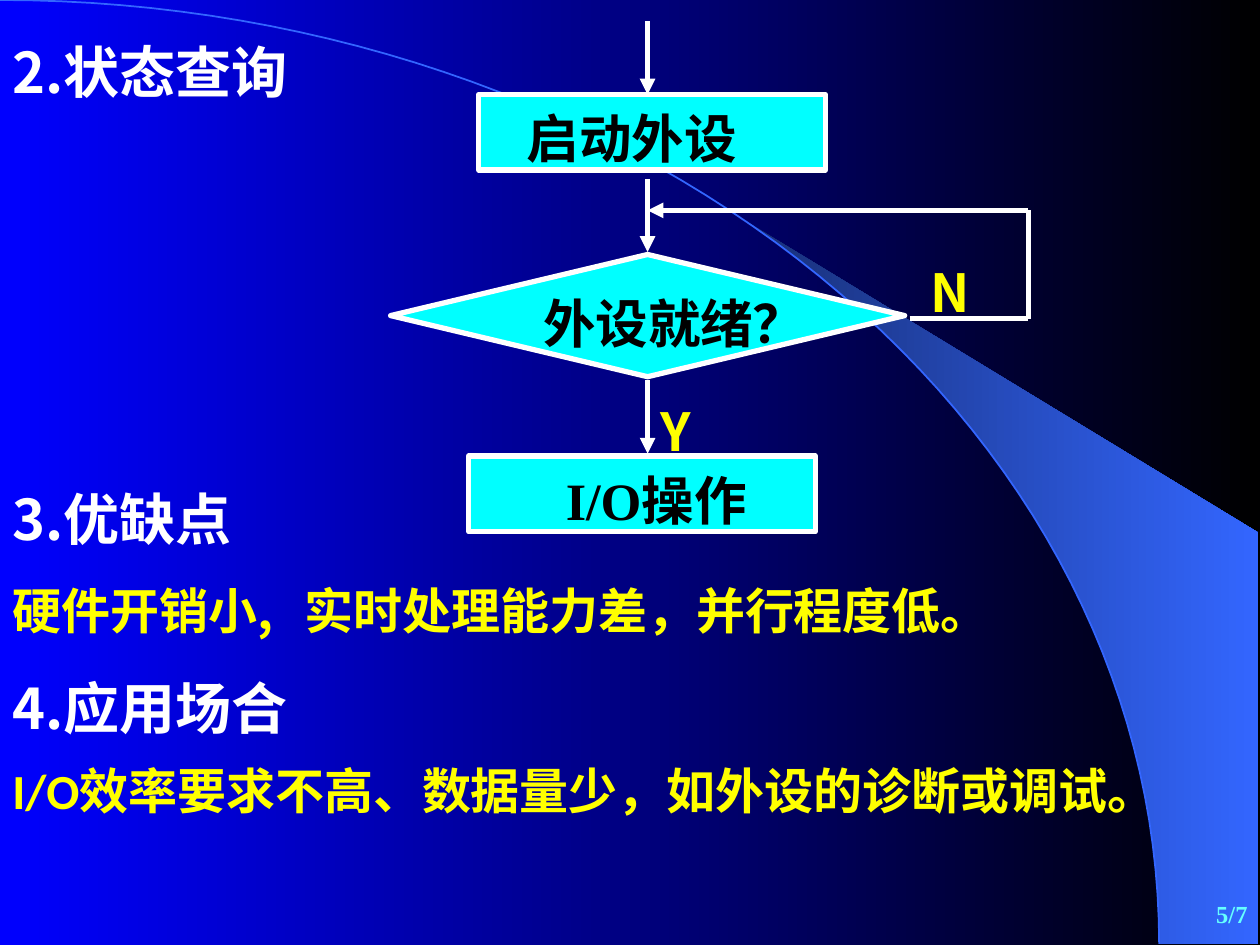
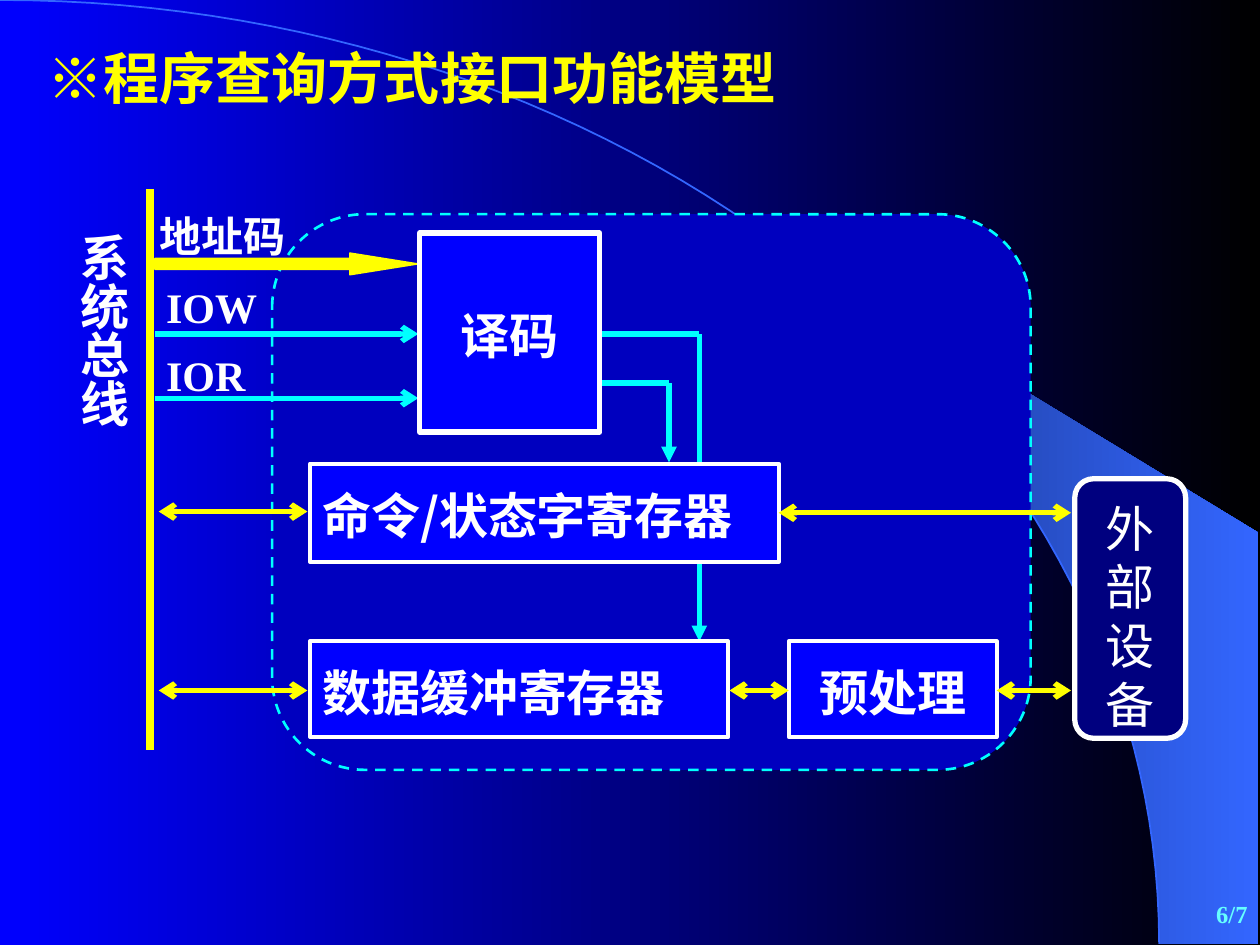
from math import asin, cos, pi, sin

from lxml.etree import SubElement as Sub
from pptx import Presentation
from pptx.dml.color import RGBColor as Rgb
from pptx.enum.dml import MSO_LINE as Dash
from pptx.enum.shapes import MSO_CONNECTOR as Conn, MSO_SHAPE as Kind
from pptx.enum.text import MSO_ANCHOR as Anchor, MSO_AUTO_SIZE as Fit, PP_ALIGN as Align
from pptx.oxml.ns import qn
from pptx.util import Inches, Pt

WIDE, HIGH = Inches(10), Inches(7.5)
COLS, ROWS = 100, 75
HUES = {
    "blue": "0000FF", "black": "000000", "dusk": "182F76", "sky": "3366FF",
    "white": "FFFFFF", "cyan": "00FFFF", "yellow": "FFFF00", "panel": "0000BF",
    "navy": "00007F", "page": "66FFFF",
}
NOTO, TIMES, CALIBRI = "Noto Sans CJK SC", "Times New Roman", "Calibri"
ARC_X, ARC_Y = 92, 74.9
SIDE, TOP = 1, 0.5


def hue(name):
    return Rgb.from_string(HUES[name])


def col(n):
    return round(WIDE * n / COLS)


def row(n):
    return round(HIGH * n / ROWS)


def area(x, y, w, h):
    return col(x), row(y), col(w), row(h)


def put(item, **vals):
    for key, val in vals.items():
        setattr(item, key, val)


def blend(fill, first, last):
    fill.gradient()
    fill.gradient_angle = 0
    for stop, name in zip(fill.gradient_stops, (first, last)):
        stop.color.rgb = hue(name)


def edge(line, name, width):
    line.color.rgb = hue(name)
    line.width = Pt(width)


def write(shape, text, size=28, ink="white", font=TIMES, bold=True, align=Align.LEFT,
          anchor=Anchor.TOP, wrap=True, lead=1.3, left=SIDE, top=TOP):
    frame = shape.text_frame
    frame.text = text
    put(frame, auto_size=Fit.NONE, word_wrap=wrap, vertical_anchor=anchor,
        margin_left=col(left), margin_right=col(SIDE),
        margin_top=row(top), margin_bottom=row(TOP))
    for para in frame.paragraphs:
        put(para, alignment=align, line_spacing=Pt(round(size * lead, 1)),
            space_before=Pt(0))
        for run in para.runs:
            put(run.font, size=Pt(size), bold=bold, name=font)
            run.font.color.rgb = hue(ink)
    for props in shape.element.iter(qn("a:rPr")):
        Sub(props, qn("a:ea")).set("typeface", NOTO)


def head(slide, text, spot, ink):
    title = slide.shapes.title
    put(title, **dict(zip(("left", "top", "width", "height"), area(*spot))))
    write(title, text, 32, ink, NOTO)


def label(slide, text, spot, **look):
    box = slide.shapes.add_textbox(*area(*spot))
    write(box, text, **look)
    return box


def block(slide, spot, fill, line, width, kind=Kind.RECTANGLE, adjust=(), text="", **look):
    shape = slide.shapes.add_shape(kind, *area(*spot))
    shape.shadow.inherit = False
    for n, val in enumerate(adjust):
        shape.adjustments[n] = val
    shape.fill.solid()
    shape.fill.fore_color.rgb = hue(fill)
    edge(shape.line, line, width)
    if text:
        write(shape, text, **look)
    return shape


def route(slide, stops, ink, tail=None, start=None, width=3):
    last = len(stops) - 2
    for n, (a, b) in enumerate(zip(stops, stops[1:])):
        link = slide.shapes.add_connector(
            Conn.STRAIGHT, col(a[0]), row(a[1]), col(b[0]), row(b[1]))
        edge(link.line, ink, width)
        props = link.element.spPr
        Sub(props, qn("a:effectLst"))
        ends = (("a:headEnd", start, n == 0), ("a:tailEnd", tail, n == last))
        for tag, form, here in ends:
            if form and here:
                Sub(props.find(qn("a:ln")), qn(tag)).set("type", form)


def arc(first, steps=60):
    turns = [first + (pi / 2 - first) * n / steps for n in range(steps + 1)]
    return [(col(ARC_X * sin(t)), row(ARC_Y * (1 - cos(t)))) for t in turns]


def outline(slide, spots, close):
    pen = slide.shapes.build_freeform(*spots[0])
    pen.add_line_segments(spots[1:], close=close)
    shape = pen.convert_to_shape()
    shape.shadow.inherit = False
    return shape


def dress(deck, slide):
    master = deck.slide_master
    blend(master.background.fill, "blue", "black")
    ends = [(col(99.9), row(ARC_Y)), (col(99.9), row(42.3))]
    beam = outline(slide, arc(asin(58.9 / ARC_X)) + ends, True)
    blend(beam.fill, "dusk", "sky")
    beam.line.fill.background()
    curve = outline(slide, arc(0), False)
    curve.fill.background()
    edge(curve.line, "sky", 1)
    for n, shape in enumerate((beam, curve)):
        shape.element.nvSpPr.cNvPr.set("id", str(n + 20))
        master.shapes.element.insert(n + 2, shape.element)


def page(slide, text):
    label(slide, text, (79.2, 70, 20.8, 5), size=14, ink="page",
          align=Align.RIGHT, anchor=Anchor.MIDDLE, lead=1.2)


def query(slide):
    mid = 51.4
    head(slide, "2.状态查询", (0, 2, 46.7, 6.4), "white")
    for top, end in ((1.7, 7.5), (14.2, 20), (30.2, 36)):
        route(slide, [(mid, top), (mid, end)], "white", "triangle")
    for text, x, y, left in (("启动外设", 38, 7.5, 3.8), ("I/O操作", 37.2, 36.2, 7.7)):
        block(slide, (x, y, 27.5, 6), "cyan", "white", 3, text=text,
              size=30, ink="black", left=left)
    block(slide, (31, 20.2, 40.8, 9.7), "cyan", "white", 3, Kind.FLOWCHART_DECISION)
    label(slide, "外设就绪？", (35.2, 22.2, 35, 6), size=30, ink="black", left=7.9)
    route(slide, [(72.2, 25.3), (81.6, 25.3), (81.6, 16.7), (mid, 16.7)],
          "white", "triangle")
    for text, x, y in (("N", 72.9, 19.7), ("Y", mid, 30.8)):
        label(slide, text, (x, y, 7.5, 6), size=30, ink="yellow", font=NOTO)
    for text, y in (("3.优缺点", 37.5), ("4.应用场合", 52.5)):
        label(slide, text, (0, y, 46.7, 6.4), size=32, font=NOTO)
    for text, x, y, w, font in (
        ("硬件开销小,", 0, 45.2, 30.4, NOTO),
        ("实时处理能力差，并行程度低。", 23.2, 45.2, 64.3, NOTO),
        ("I/O效率要求不高、数据量少，如外设的诊断或调试。", 0, 59.5, 96.5, CALIBRI),
    ):
        label(slide, text, (x, y, w, 5.7), ink="yellow", font=font)
    page(slide, "5/7")


def model(slide):
    bus = 12.3
    head(slide, "※程序查询方式接口功能模型", (2.8, 2.5, 70, 6.4), "yellow")
    zone = block(slide, (21.6, 17, 60.2, 44.1), "panel", "cyan", 1.5,
                 Kind.ROUNDED_RECTANGLE, (0.167,))
    zone.line.dash_style = Dash.DASH
    label(slide, "地址码", (11.7, 15.9, 16.3, 5), size=24)
    block(slide, (bus, 20.1, 20.8, 1.7), "yellow", "yellow", 1,
          Kind.RIGHT_ARROW, (0.5, 3.13))
    for text, y, line in (("IOW", 21.8, 26.5), ("IOR", 27.2, 31.6)):
        label(slide, text, (12.2, y, 13.3, 5), size=24, lead=1.22)
        route(slide, [(bus, line), (33.2, line)], "cyan", "arrow")
    for y, x, end in ((30.4, 53.1, 36.7), (26.5, 55.5, 50.9)):
        route(slide, [(47.6, y), (x, y), (x, end)], "cyan", "triangle")
    for text, spot, width, font, align in (
        ("译码", (33.3, 18.5, 14.3, 15.8), 3, TIMES, Align.CENTER),
        ("命令/状态字寄存器", (24.6, 36.8, 37.2, 7.8), 2.25, NOTO, Align.LEFT),
        ("数据缓冲寄存器", (24.6, 50.9, 33.2, 7.6), 2.25, TIMES, Align.LEFT),
        ("预处理", (62.6, 50.9, 16.5, 7.6), 2.25, TIMES, Align.CENTER),
    ):
        block(slide, spot, "blue", "white", width, text=text, font=font,
              align=align, anchor=Anchor.MIDDLE, wrap=False)
    for x, end, y in ((12.6, 24.4, 40.6), (61.8, 85, 40.7), (12.6, 24.4, 54.8),
                      (57.9, 62.6, 54.8), (79.1, 85, 54.8)):
        route(slide, [(x, y), (end, y)], "yellow", "arrow", "arrow")
    name = label(slide, "系统总线", (4.8, 17.5, 6.6, 33.4), align=Align.CENTER,
                 left=0.5, top=1)
    name.element.txBody.find(qn("a:bodyPr")).set("vert", "eaVert")
    route(slide, [(11.9, 15), (11.9, 59.5)], "yellow", width=4.5)
    block(slide, (85.3, 38, 8.8, 20.6), "navy", "white", 3, Kind.ROUNDED_RECTANGLE,
          (0.17,), "外\n部\n设\n备", font=NOTO, bold=False, align=Align.CENTER,
          lead=1.2, top=1.1)
    page(slide, "6/7")


def main():
    deck = Presentation()
    put(deck, slide_width=WIDE, slide_height=HIGH)
    first, second = [deck.slides.add_slide(deck.slide_layouts[5]) for _ in range(2)]
    dress(deck, first)
    query(first)
    model(second)
    deck.save("out.pptx")


if __name__ == "__main__":
    main()
